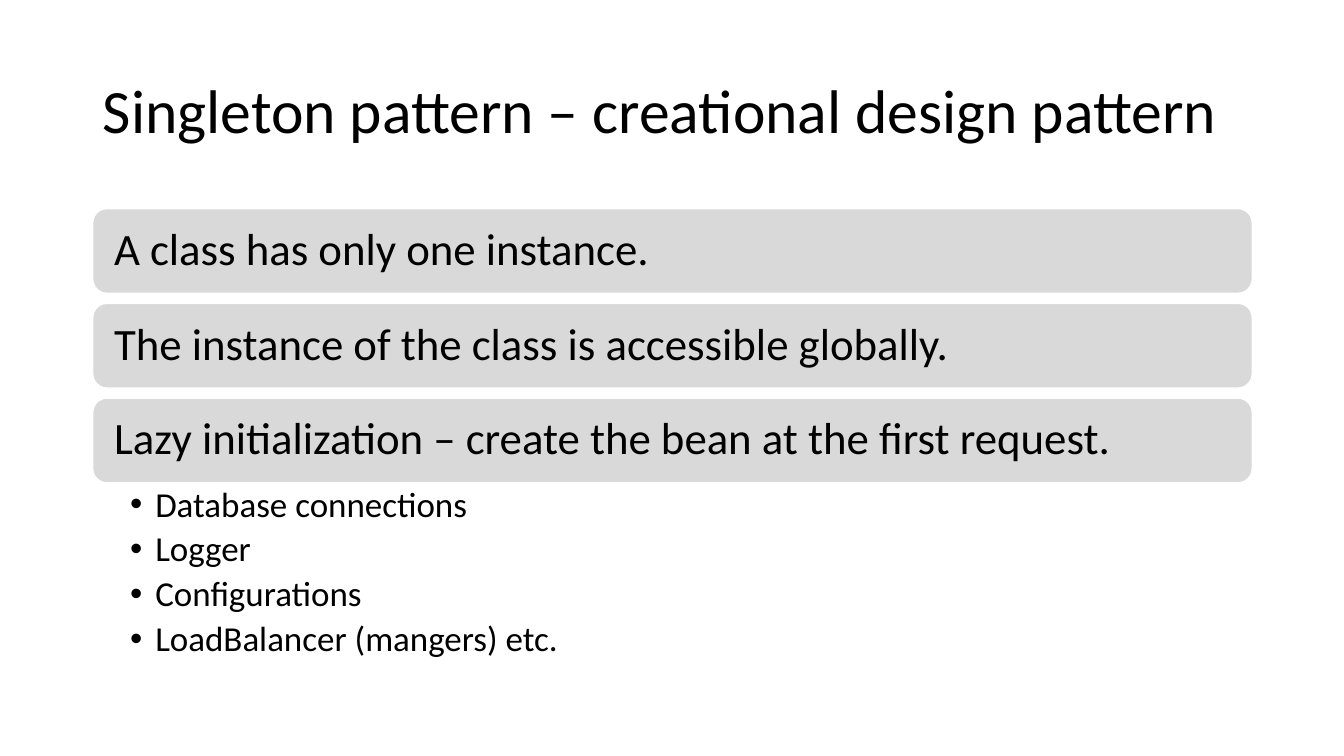
from lxml import etree
from pptx import Presentation
from pptx.dml.color import RGBColor
from pptx.enum.shapes import MSO_SHAPE
from pptx.enum.text import MSO_ANCHOR, MSO_AUTO_SIZE, PP_ALIGN
from pptx.oxml.ns import qn
from pptx.util import Inches, Pt

COLORS = {"text": "000000", "bar": "D9D9D9", "edge": "FFFFFF"}
LEFT, WIDTH = 0.92, 11.5
BAR_TOP, BAR_HEIGHT, BAR_PITCH = 2.07, 0.84, 0.94

PRINCIPLES = [
    "A class has only one instance.",
    "The instance of the class is accessible globally.",
    "Lazy initialization – create the bean at the first request.",
]
USES = ["Database connections", "Logger", "Configurations", "LoadBalancer (mangers) etc."]


def place(shape, top, height):
    shape.left, shape.top = Inches(LEFT), Inches(top)
    shape.width, shape.height = Inches(WIDTH), Inches(height)


def format_paragraph(paragraph, size, after=0):
    paragraph.alignment = PP_ALIGN.LEFT
    paragraph.line_spacing = 0.9
    paragraph.space_before = Pt(0)
    paragraph.space_after = Pt(after)
    paragraph.font.name = "Calibri"
    paragraph.font.size = Pt(size)
    paragraph.font.color.rgb = RGBColor.from_string(COLORS["text"])


prs = Presentation()
prs.slide_width, prs.slide_height = Inches(13.33), Inches(7.5)
slide = prs.slides.add_slide(prs.slide_layouts[1])

title = slide.shapes.title
place(title, 0.4, 1.45)
title.text_frame.text = "Singleton pattern – creational design pattern"
title.text_frame.vertical_anchor = MSO_ANCHOR.MIDDLE
title.text_frame.auto_size = MSO_AUTO_SIZE.NONE
format_paragraph(title.text_frame.paragraphs[0], 44)

for row, principle in enumerate(PRINCIPLES):
    bar = slide.shapes.add_shape(
        MSO_SHAPE.ROUNDED_RECTANGLE, Inches(LEFT), Inches(BAR_TOP + row * BAR_PITCH),
        Inches(WIDTH), Inches(BAR_HEIGHT))
    bar.shadow.inherit = False
    bar.fill.solid()
    bar.fill.fore_color.rgb = RGBColor.from_string(COLORS["bar"])
    bar.line.color.rgb = RGBColor.from_string(COLORS["edge"])
    bar.line.width = Pt(1)
    frame = bar.text_frame
    frame.text = principle
    frame.word_wrap = True
    frame.vertical_anchor = MSO_ANCHOR.MIDDLE
    frame.margin_left = frame.margin_right = Inches(0.17)
    format_paragraph(frame.paragraphs[0], 32)

uses = slide.placeholders[1]
place(uses, 4.79, 1.88)
uses_frame = uses.text_frame
uses_frame.text = "\n".join(USES)
uses_frame.auto_size = MSO_AUTO_SIZE.NONE
margins = {"margin_left": 0.37, "margin_top": 0.04, "margin_right": 0.25, "margin_bottom": 0.04}
for side, inset in margins.items():
    setattr(uses_frame, side, Inches(inset))
for use in uses_frame.paragraphs:
    use.level = 1
    properties = use._p.get_or_add_pPr()
    properties.set("marL", str(Inches(0.25)))
    properties.set("indent", str(-Inches(0.25)))
    etree.SubElement(properties, qn("a:buFont"), typeface="Arial")
    etree.SubElement(properties, qn("a:buChar"), char="•")
    format_paragraph(use, 25, after=5)

prs.save("out.pptx")
